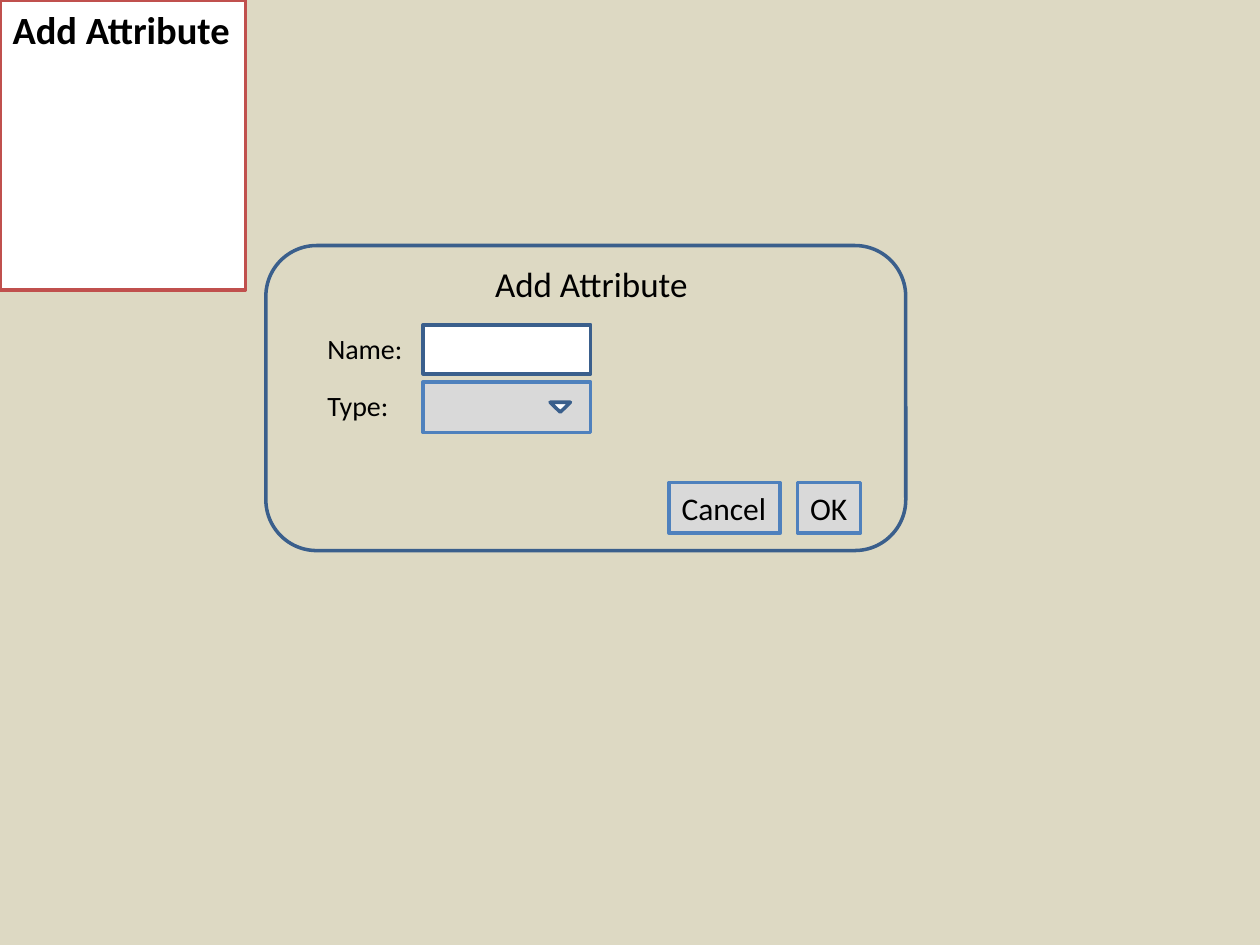
from pptx import Presentation
from pptx.dml.color import RGBColor
from pptx.enum.shapes import MSO_SHAPE
from pptx.enum.text import MSO_ANCHOR, MSO_AUTO_SIZE, PP_ALIGN
from pptx.util import Cm, Pt

RECTANGLE = MSO_SHAPE.RECTANGLE
ROUNDED = MSO_SHAPE.ROUNDED_RECTANGLE
DOWN_TRIANGLE = MSO_SHAPE.FLOWCHART_MERGE
TOP, MIDDLE = MSO_ANCHOR.TOP, MSO_ANCHOR.MIDDLE
GROW = MSO_AUTO_SIZE.SHAPE_TO_FIT_TEXT
LEFT = PP_ALIGN.LEFT

FONT = "Calibri"
BLACK, WHITE, GREY, SAND = "000000", "FFFFFF", "D9D9D9", "DDD9C3"
RED, BLUE, DARK_BLUE = "C0504D", "4F81BD", "3A5F8C"


def paint(target, color):
    """Give a fill a solid colour from a hex string."""
    target.solid()
    target.fore_color.rgb = RGBColor.from_string(color)


def outline(shape, color):
    """Give a shape a two point line."""
    paint(shape.line.fill, color)
    shape.line.width = Pt(2)


def write(shape, text, size, bold=False, anchor=TOP):
    """Put one left-aligned, unwrapped line of text in a shape."""
    frame = shape.text_frame
    frame.word_wrap = False
    frame.auto_size = GROW
    frame.vertical_anchor = anchor
    para = frame.paragraphs[0]
    para.text = text
    para.alignment = LEFT
    para.font.name = FONT
    para.font.size = Pt(size)
    para.font.bold = bold
    paint(para.font.fill, BLACK)


def add_title(page, text):
    """Turn the title placeholder into the framed tag in the corner."""
    title = page.shapes.title
    title.left, title.top = Cm(0), Cm(0)
    title.width, title.height = Cm(4.95), Cm(1.19)
    paint(title.fill, WHITE)
    outline(title, RED)
    write(title, text, 22, bold=True)


def add_box(shapes, kind, place, fill, line):
    """Add an outlined shape; without a fill colour it stays hollow."""
    box = shapes.add_shape(kind, *map(Cm, place))
    box.shadow.inherit = False
    if fill:
        paint(box.fill, fill)
    else:
        box.fill.background()
    outline(box, line)
    return box


def add_label(page, place, text, size):
    """Add a plain text box."""
    write(page.shapes.add_textbox(*map(Cm, place)), text, size)


def add_dropdown(page, place):
    """Add a grouped drop-down field with its arrow near the right end."""
    left, top, width, height = place
    arrow_width, arrow_height = 0.41, 0.2
    arrow = (left + width - 0.41 - arrow_width,
             top + (height - arrow_height) / 2, arrow_width, arrow_height)
    group = page.shapes.add_group_shape()
    add_box(group.shapes, RECTANGLE, place, GREY, BLUE)
    add_box(group.shapes, DOWN_TRIANGLE, arrow, WHITE, DARK_BLUE)


def add_button(page, left, width, text):
    """Add a button in the bottom row of the dialog."""
    button = add_box(page.shapes, RECTANGLE, (left, 9.73, width, 1.02), GREY, BLUE)
    write(button, text, 18, anchor=MIDDLE)


def main():
    """Build the dialog mock-up and save it."""
    deck = Presentation()
    deck.slide_width, deck.slide_height = Cm(25.4), Cm(19.05)
    page = deck.slides.add_slide(deck.slide_layouts[5])
    paint(page.background.fill, SAND)

    add_title(page, "Add Attribute")
    add_box(page.shapes, ROUNDED, (5.36, 4.95, 12.9, 6.15), None, DARK_BLUE)
    add_label(page, (9.73, 5.16, 4.45, 1.12), "Add Attribute", 20)

    name_top, type_top = 6.55, 7.7
    add_label(page, (6.35, name_top, 2.06, 0.94), "Name:", 16)
    add_label(page, (6.35, type_top, 1.75, 0.94), "Type:", 16)
    add_dropdown(page, (8.53, type_top, 3.38, 1.02))
    add_box(page.shapes, RECTANGLE, (8.53, name_top, 3.38, 0.99), WHITE, DARK_BLUE)

    add_button(page, 16.08, 1.27, "OK")
    add_button(page, 13.49, 2.24, "Cancel")
    deck.save("out.pptx")


main()
